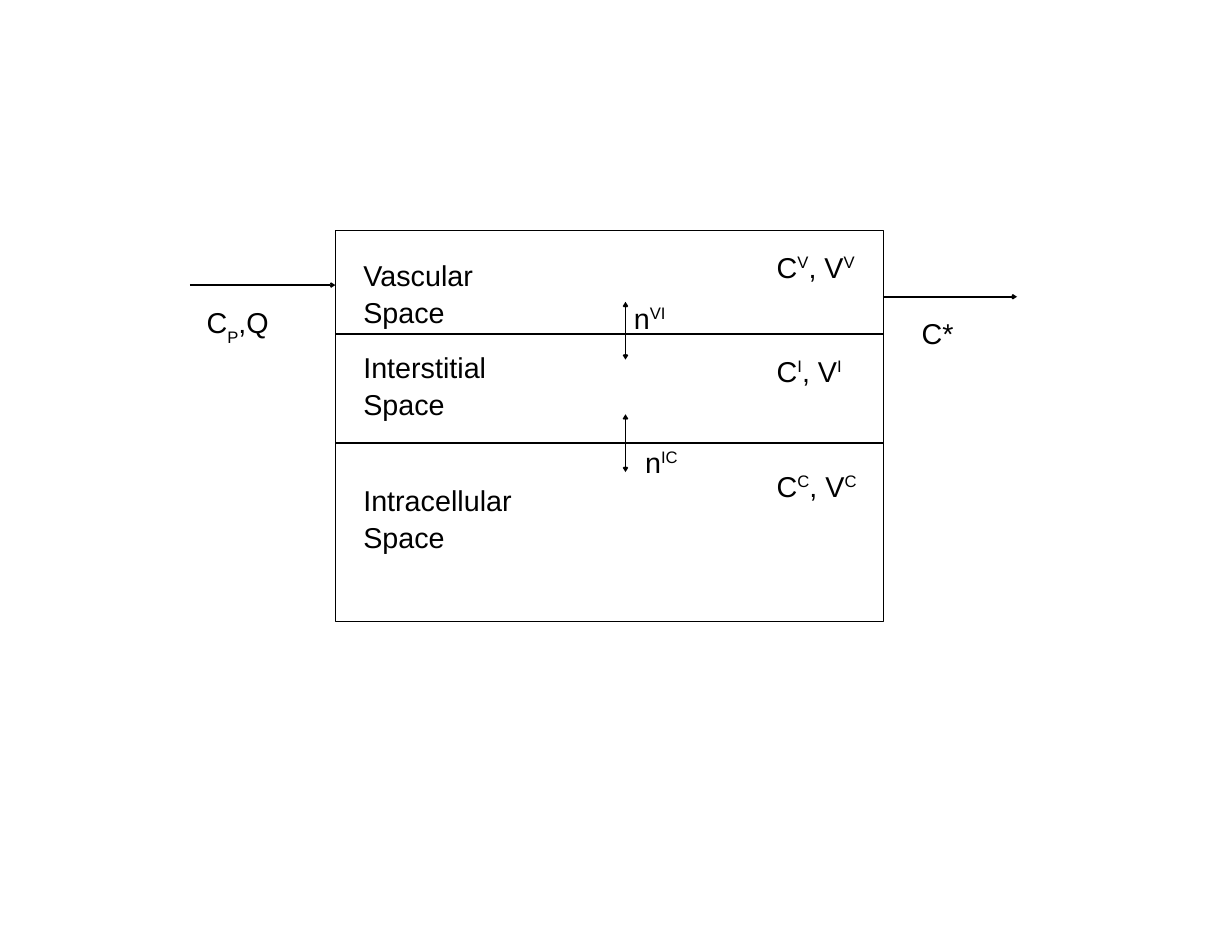
"""Build the three-compartment exchange model slide."""
from typing import NamedTuple

from lxml import etree
from pptx import Presentation
from pptx import util as u
from pptx.dml import color
from pptx.enum import shapes, text
from pptx.oxml import ns

COLOURS = {"ink": "000000", "paper": "FFFFFF"}
FONT = "Arial"
FONT_SIZE = 36.9
LINE_SPACING = 1.06

LEFT, TOP, RIGHT, BOTTOM = 15.21, 10.44, 40.05, 28.19
INFLOW_Y, OUTFLOW_Y = 12.93, 13.46
DIVIDERS = (15.14, 20.09)
EXCHANGE_X, EXCHANGE_HALF = 28.37, 1.31
NAME_X, NAME_W = 16.23, 8.1
SYMBOL_X, SYMBOL_W = 34.98, 4.57
SUPER, SUB = 33, -33


class Piece(NamedTuple):
    """A stretch of text with its baseline shift in percent."""
    words: str
    shift: int = 0


class Label(NamedTuple):
    """A text box in centimetres."""
    x: float
    y: float
    w: float
    h: float
    pieces: list[Piece]


class Line(NamedTuple):
    """A straight line in centimetres with optional arrowheads."""
    x1: float
    y1: float
    x2: float
    y2: float
    ends: tuple[str, ...] = ()


class Compartment(NamedTuple):
    """A compartment name and its concentration and volume symbols."""
    name: str
    name_y: float
    name_h: float
    letter: str
    symbol_y: float
    symbol_h: float


COMPARTMENTS = [
    Compartment("Vascular Space", 11.48, 5.92, "V", 11.1, 4.5),
    Compartment("Interstitial Space", 15.67, 7.34, "I", 15.82, 3.07),
    Compartment("Intracellular Space", 21.69, 7.34, "C", 21.03, 4.5),
]
FLOW_LABELS = [
    Label(9.12, 13.59, 4.57, 3.38, [Piece("C"), Piece("P", SUB), Piece(",Q")]),
    Label(41.55, 14.1, 2.54, 3.07, [Piece("C*")]),
    Label(28.5, 13.41, 2.54, 3.07, [Piece("n"), Piece("VI", SUPER)]),
    Label(29.01, 19.94, 2.54, 4.5, [Piece("n"), Piece("IC", SUPER)]),
]
LINES = [
    Line(8.61, INFLOW_Y, LEFT, INFLOW_Y, ("tailEnd",)),
    Line(RIGHT, OUTFLOW_Y, 46.13, OUTFLOW_Y, ("tailEnd",)),
    *(Line(LEFT, y, RIGHT, y) for y in DIVIDERS),
    *(Line(EXCHANGE_X, y - EXCHANGE_HALF, EXCHANGE_X, y + EXCHANGE_HALF,
           ("headEnd", "tailEnd")) for y in (15, 20.1)),
]


def rgb(name: str) -> color.RGBColor:
    """Return a named colour."""
    return color.RGBColor.from_string(COLOURS[name])


def draw_frame(s) -> None:
    """Draw the outer box."""
    sp = s.shapes.add_shape(shapes.MSO_SHAPE.RECTANGLE, u.Cm(LEFT), u.Cm(TOP),
                            u.Cm(RIGHT - LEFT), u.Cm(BOTTOM - TOP))
    sp.shadow.inherit = False
    sp.fill.solid()
    sp.fill.fore_color.rgb = rgb("paper")
    sp.line.color.rgb = rgb("ink")
    sp.line.width = u.Pt(0)


def draw_line(s, line: Line) -> None:
    """Draw a hairline with its arrowheads."""
    sp = s.shapes.add_connector(
        shapes.MSO_CONNECTOR.STRAIGHT,
        *(u.Cm(v) for v in (line.x1, line.y1, line.x2, line.y2)))
    sp.line.color.rgb = rgb("ink")
    sp.line.width = u.Pt(0)
    ln = sp.line._get_or_add_ln()
    for end in line.ends:
        etree.SubElement(ln, ns.qn(f"a:{end}"), type="arrow")
    etree.SubElement(sp._element.spPr, ns.qn("a:effectLst"))


def draw_label(s, label: Label) -> None:
    """Draw a text box run by run."""
    sp = s.shapes.add_textbox(
        *(u.Cm(v) for v in (label.x, label.y, label.w, label.h)))
    tf = sp.text_frame
    tf.word_wrap = True
    tf.auto_size = text.MSO_AUTO_SIZE.SHAPE_TO_FIT_TEXT
    p = tf.paragraphs[0]
    p.line_spacing = LINE_SPACING
    for piece in label.pieces:
        r = p.add_run()
        r.text = piece.words
        r.font.name = FONT
        r.font.size = u.Pt(FONT_SIZE)
        r.font.color.rgb = rgb("ink")
        if piece.shift:
            r._r.get_or_add_rPr().set("baseline", str(piece.shift * 1000))


def compartment_labels(c: Compartment) -> list[Label]:
    """Return the name and symbol labels of a compartment."""
    letter = Piece(c.letter, SUPER)
    return [
        Label(NAME_X, c.name_y, NAME_W, c.name_h, [Piece(c.name)]),
        Label(SYMBOL_X, c.symbol_y, SYMBOL_W, c.symbol_h,
              [Piece("C"), letter, Piece(", V"), letter]),
    ]


def main() -> None:
    """Build and save the slide."""
    prs = Presentation()
    prs.slide_width, prs.slide_height = u.Cm(55.88), u.Cm(43.18)
    s = prs.slides.add_slide(prs.slide_layouts[6])
    draw_frame(s)
    for line in LINES:
        draw_line(s, line)
    for c in COMPARTMENTS:
        for label in compartment_labels(c):
            draw_label(s, label)
    for label in FLOW_LABELS:
        draw_label(s, label)
    prs.save("out.pptx")


if __name__ == "__main__":
    main()
